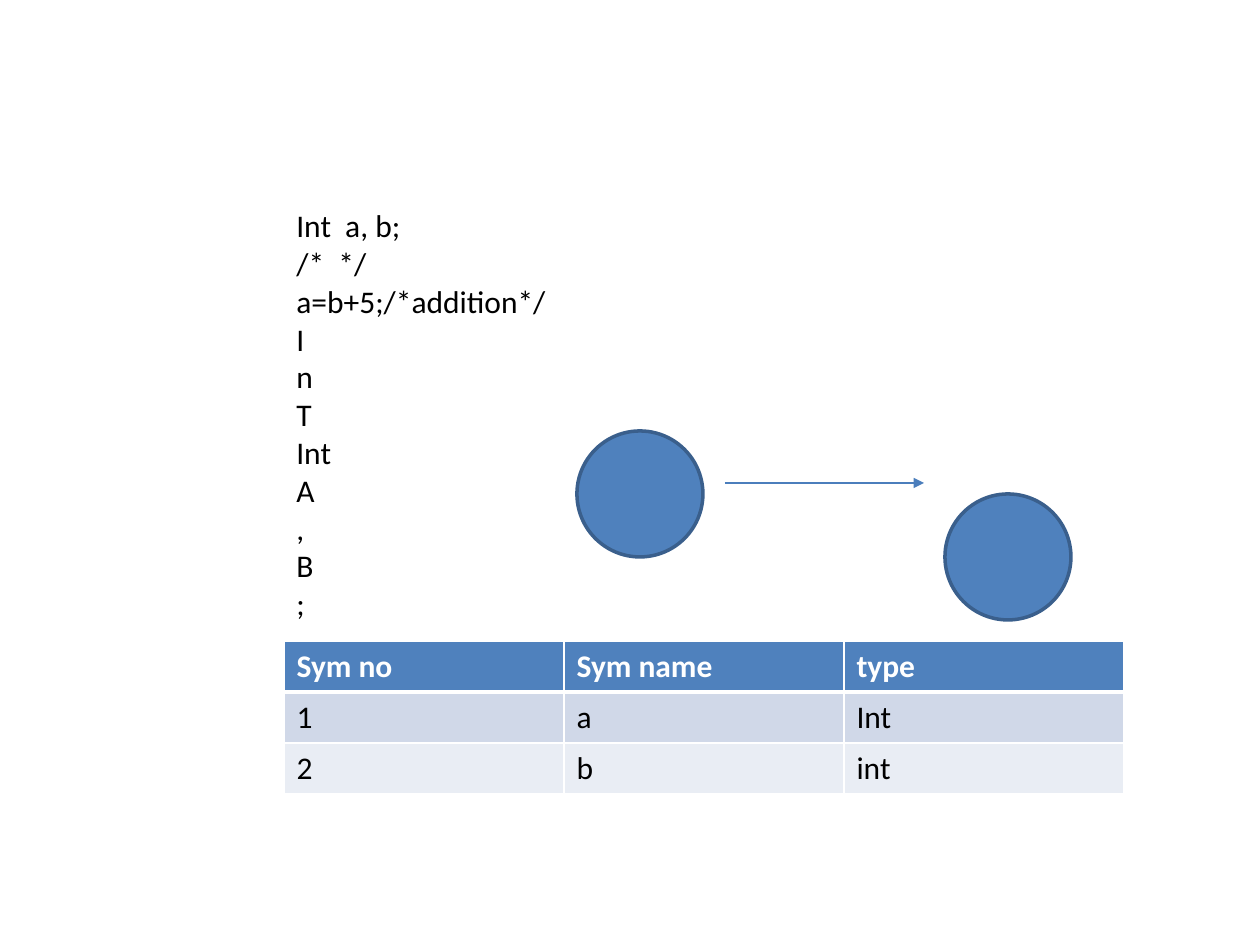
from dataclasses import dataclass

from lxml.etree import SubElement
from pptx import Presentation
from pptx.dml.color import RGBColor
from pptx.enum.shapes import MSO_CONNECTOR, MSO_SHAPE
from pptx.enum.text import MSO_AUTO_SIZE
from pptx.oxml.ns import qn
from pptx.util import Pt

PX = 914400 // 126


@dataclass(frozen=True)
class Theme:
    """Colours, font and type size of the slide."""
    blue: str = "4F81BD"
    outline: str = "3A5F8C"
    arrow: str = "4B7EBC"
    band_dark: str = "D0D8E8"
    band_light: str = "E9EDF4"
    white: str = "FFFFFF"
    black: str = "000000"
    font: str = "Calibri"
    size: int = 18


theme = Theme()


def write(paragraph, text, color, bold=False):
    """Put text in a paragraph in the theme's font."""
    run = paragraph.add_run()
    run.text = text
    run.font.color.rgb = RGBColor.from_string(color)
    formats = {"name": theme.font, "size": Pt(theme.size), "bold": bold}
    for key, value in formats.items():
        setattr(run.font, key, value)


def add_border(cell, side, points):
    """Draw one white edge of a table cell."""
    edge = SubElement(cell._tc.get_or_add_tcPr(), qn(f"a:ln{side}"), w=str(Pt(points)))
    fill = SubElement(edge, qn("a:solidFill"))
    SubElement(fill, qn("a:srgbClr"), val=theme.white)


deck = Presentation()
deck.slide_width = 1260 * PX
deck.slide_height = 945 * PX
slide = deck.slides.add_slide(deck.slide_layouts[6])

# Source code and its tokens
code_lines = ["Int  a, b;", "/*  */", "a=b+5;/*addition*/",
              "I", "n", "T", "Int ", "A", ",", "B", ";"]
code = slide.shapes.add_textbox(284 * PX, 200 * PX, 756 * PX, 432 * PX).text_frame
code.word_wrap = True
code.auto_size = MSO_AUTO_SIZE.SHAPE_TO_FIT_TEXT
for index, line in enumerate(code_lines):
    paragraph = code.add_paragraph() if index else code.paragraphs[0]
    write(paragraph, line, theme.black)

# Two states and the transition between them
for left, top in [(577, 431), (945, 494)]:
    state = slide.shapes.add_shape(MSO_SHAPE.OVAL, left * PX, top * PX, 126 * PX, 126 * PX)
    state.shadow.inherit = False
    state.fill.solid()
    state.fill.fore_color.rgb = RGBColor.from_string(theme.blue)
    state.line.color.rgb = RGBColor.from_string(theme.outline)
    state.line.width = Pt(2)

transition = slide.shapes.add_connector(
    MSO_CONNECTOR.STRAIGHT, 725 * PX, 483 * PX, 924 * PX, 483 * PX)
transition.line.color.rgb = RGBColor.from_string(theme.arrow)
transition.line.width = Pt(0.75)
SubElement(transition.line._get_or_add_ln(), qn("a:tailEnd"), type="triangle")
SubElement(transition._element.spPr, qn("a:effectLst"))

# Symbol table
symbols = [("Sym no ", "Sym name", "type"), ("1", "a", "Int"), ("2", "b", "int")]
row_fills = [theme.blue, theme.band_dark, theme.band_light]
symbol_table = slide.shapes.add_table(
    3, 3, 284 * PX, 641 * PX, 840 * PX, 153 * PX).table
for row, (values, row_fill) in enumerate(zip(symbols, row_fills)):
    header = row == 0
    borders = {"L": 1, "R": 1, "T": 3 if row == 1 else 1, "B": 3 if header else 1}
    for column, value in enumerate(values):
        cell = symbol_table.cell(row, column)
        for side, points in borders.items():
            add_border(cell, side, points)
        cell.fill.solid()
        cell.fill.fore_color.rgb = RGBColor.from_string(row_fill)
        write(cell.text_frame.paragraphs[0], value,
              theme.white if header else theme.black, bold=header)

deck.save("out.pptx")
